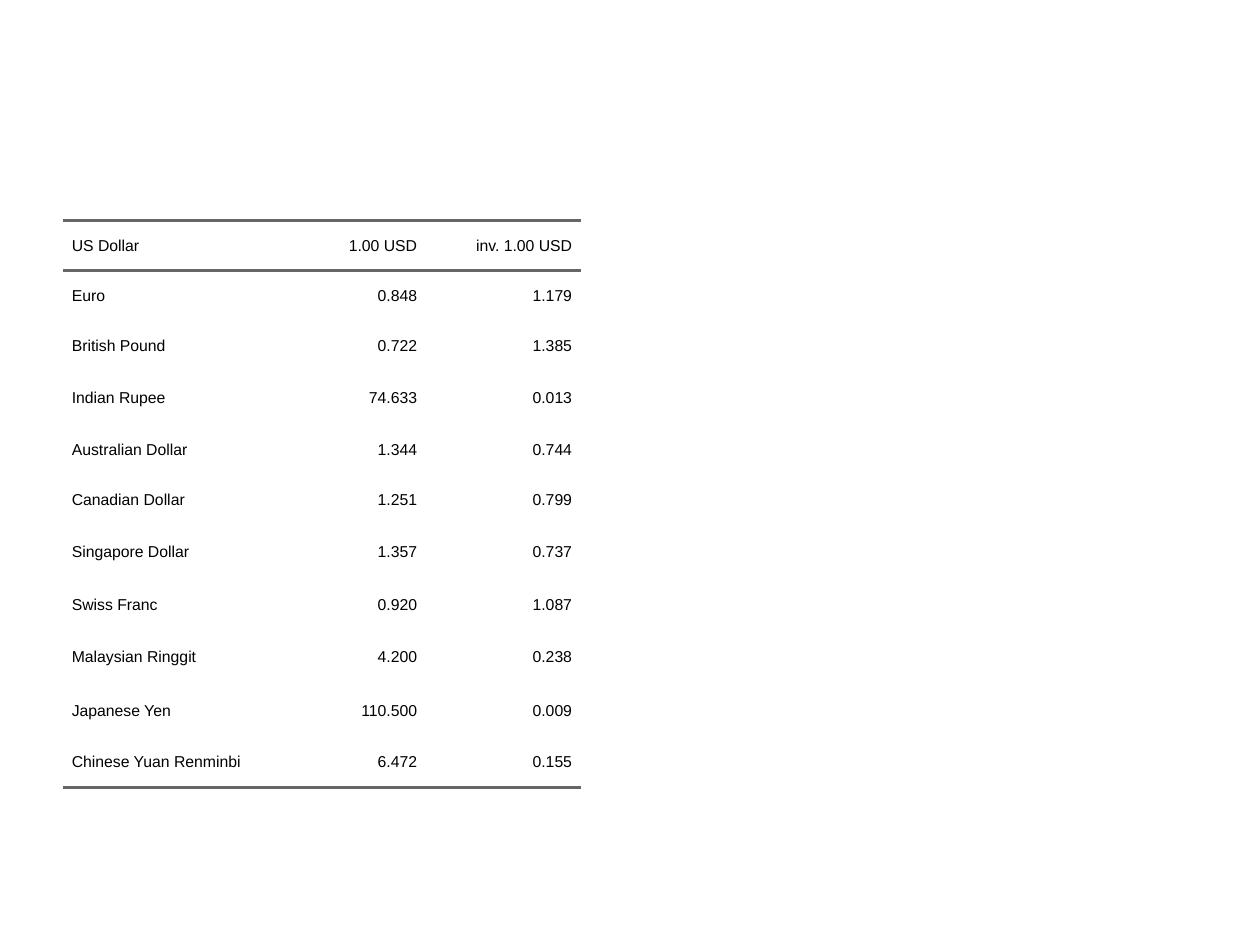
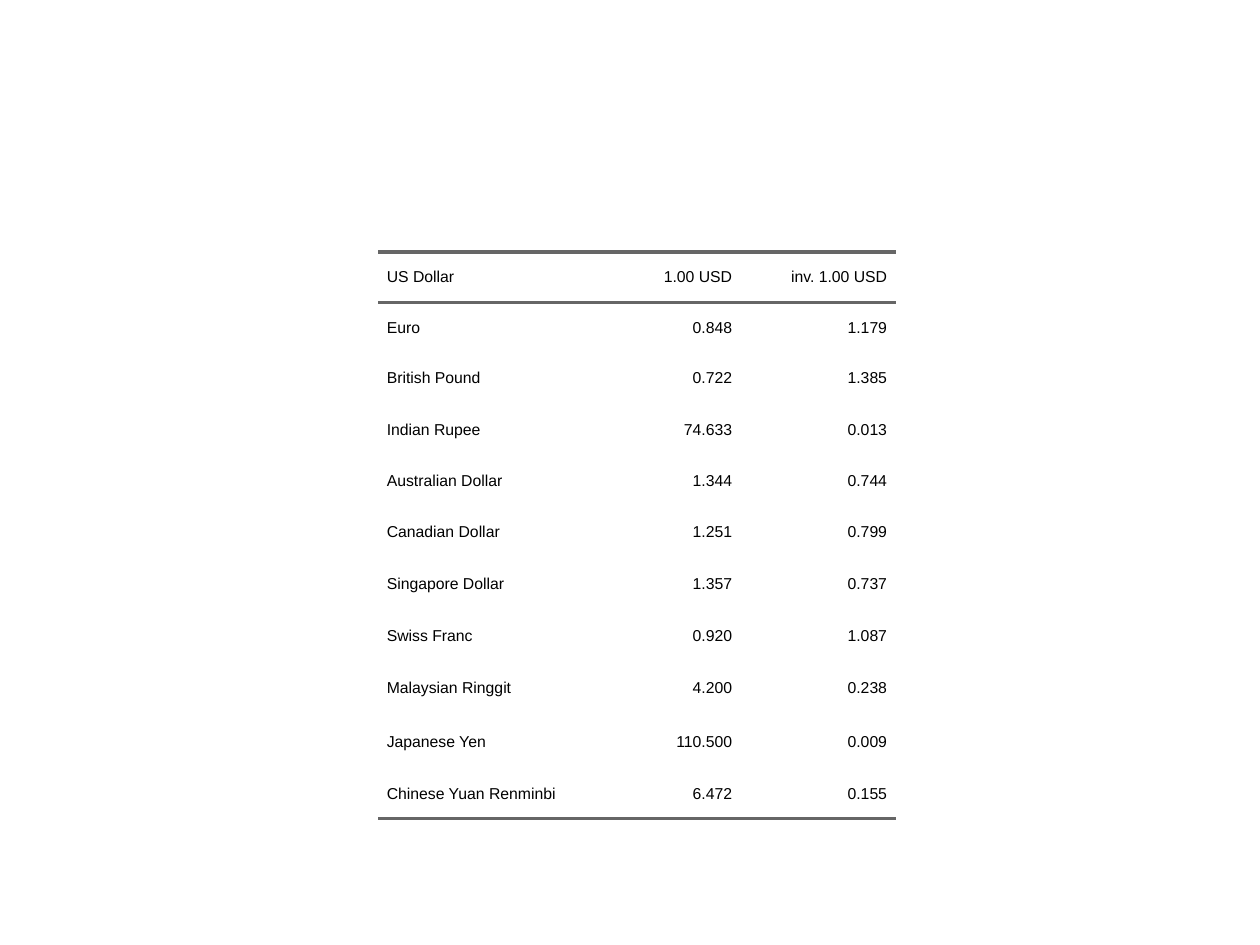
from lxml.etree import SubElement
from pptx import Presentation
from pptx.dml.color import RGBColor
from pptx.enum.text import MSO_ANCHOR, PP_ALIGN
from pptx.oxml.ns import qn
from pptx.util import Inches, Pt

COLORS = {"text": "000000", "rule": "666666"}
FONT = "Arial"
PLAIN = "{2D5ABB26-0587-4C30-8999-92F81FD0307C}"  # table style without grid
BLANK = 6

COLS = [1.93, 0.95, 1.23]
HEIGHTS = [0.4, 0.4, 0.4, 0.42, 0.4, 0.4, 0.43, 0.4, 0.43, 0.42, 0.4]
RATES = [
    ("US Dollar", "1.00 USD", "inv. 1.00 USD"),
    ("Euro", "0.848", "1.179"),
    ("British Pound", "0.722", "1.385"),
    ("Indian Rupee", "74.633", "0.013"),
    ("Australian Dollar", "1.344", "0.744"),
    ("Canadian Dollar", "1.251", "0.799"),
    ("Singapore Dollar", "1.357", "0.737"),
    ("Swiss Franc", "0.920", "1.087"),
    ("Malaysian Ringgit", "4.200", "0.238"),
    ("Japanese Yen", "110.500", "0.009"),
    ("Chinese Yuan Renminbi", "6.472", "0.155"),
]
BOXES = [(0.5, 1.75, 9, 4.95), (3, 2, 4, 3)]


def write(frame, text, size=9, color="text", align=PP_ALIGN.LEFT, gap=5, pad=0.07):
    """Fill a text frame; gap is the space around the line, pad its side indents."""
    para = frame.paragraphs[0]
    para.alignment = align
    para.space_before = para.space_after = Pt(gap)
    props = para._p.get_or_add_pPr()
    for side in ("marL", "marR"):
        props.set(side, str(Inches(pad)))
    run = para.add_run()
    run.text = text
    run.font.name = FONT
    run.font.size = Pt(size)
    run.font.color.rgb = RGBColor.from_string(COLORS[color])


def rule(cell, side, width=2):
    """Draw one border of a cell: side is T or B, in that order."""
    line = SubElement(cell._tc.get_or_add_tcPr(), qn(f"a:ln{side}"), w=str(Pt(width)))
    fill = SubElement(line, qn("a:solidFill"))
    SubElement(fill, qn("a:srgbClr"), val=COLORS["rule"])


def format_cell(cell, sides):
    cell.margin_left = cell.margin_right = 0
    cell.margin_top = cell.margin_bottom = 0
    cell.vertical_anchor = MSO_ANCHOR.MIDDLE
    for side in sides:
        rule(cell, side)
    cell.fill.background()


def add_rates(slide, box):
    left, top, width, height = map(Inches, box)
    frame = slide.shapes.add_table(len(RATES), len(COLS), left, top, width, height)
    table = frame.table
    table.first_row = table.horz_banding = False
    table._tbl.tblPr.find(qn("a:tableStyleId")).text = PLAIN
    for col, size in zip(table.columns, COLS):
        col.width = Inches(size)
    for row, size in zip(table.rows, HEIGHTS):
        row.height = Inches(size)
    # Sizing rows and columns resizes the frame, so its box is set again.
    frame.width, frame.height = width, height

    sides = {0: "TB", len(RATES) - 1: "B"}
    for r, texts in enumerate(RATES):
        for c, text in enumerate(texts):
            cell = table.cell(r, c)
            format_cell(cell, sides.get(r, ""))
            write(cell.text_frame, text, align=PP_ALIGN.RIGHT if c else PP_ALIGN.LEFT)


def main():
    deck = Presentation()
    deck.slide_width, deck.slide_height = Inches(10), Inches(7.5)
    for box in BOXES:
        add_rates(deck.slides.add_slide(deck.slide_layouts[BLANK]), box)
    deck.save("out.pptx")


if __name__ == "__main__":
    main()
